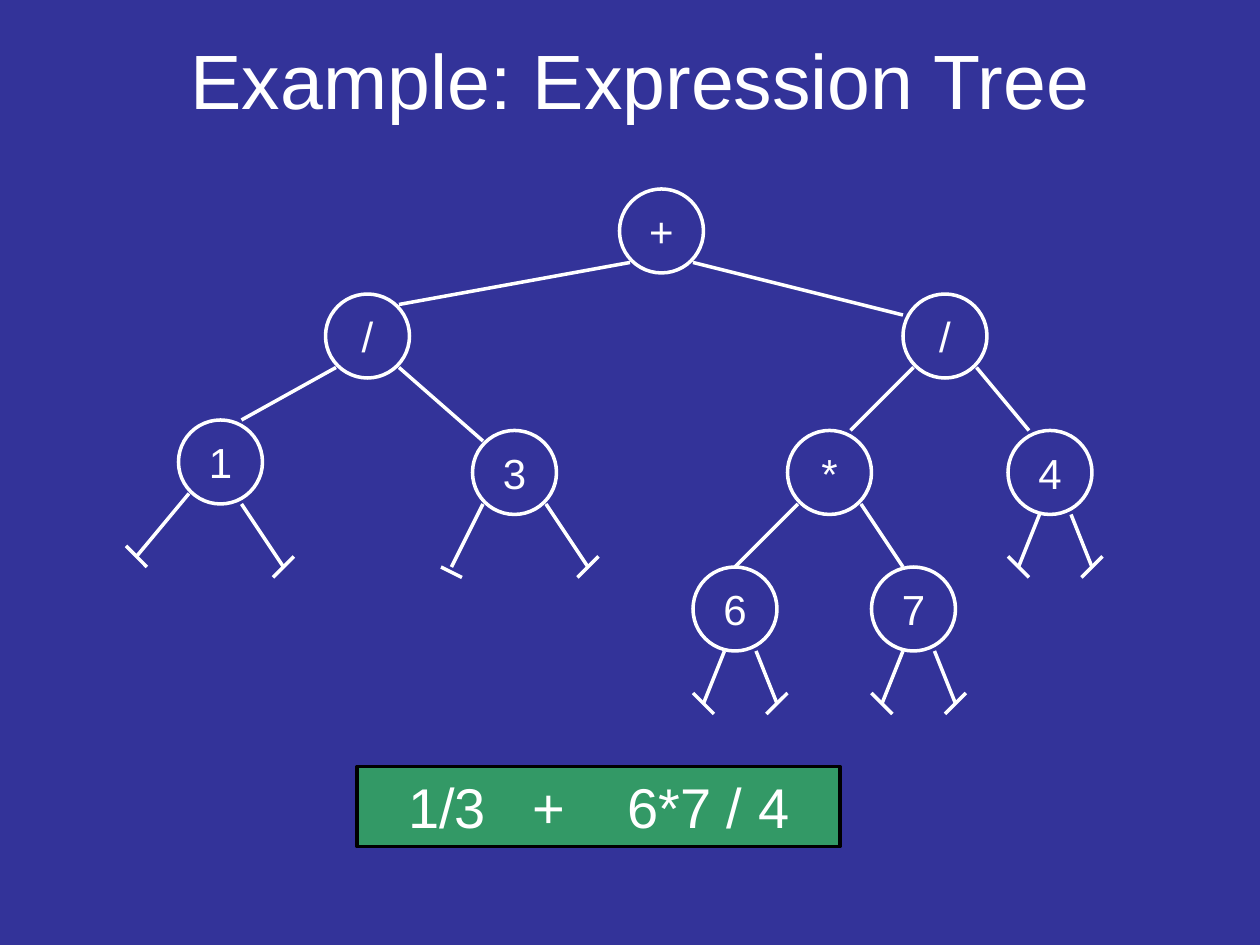
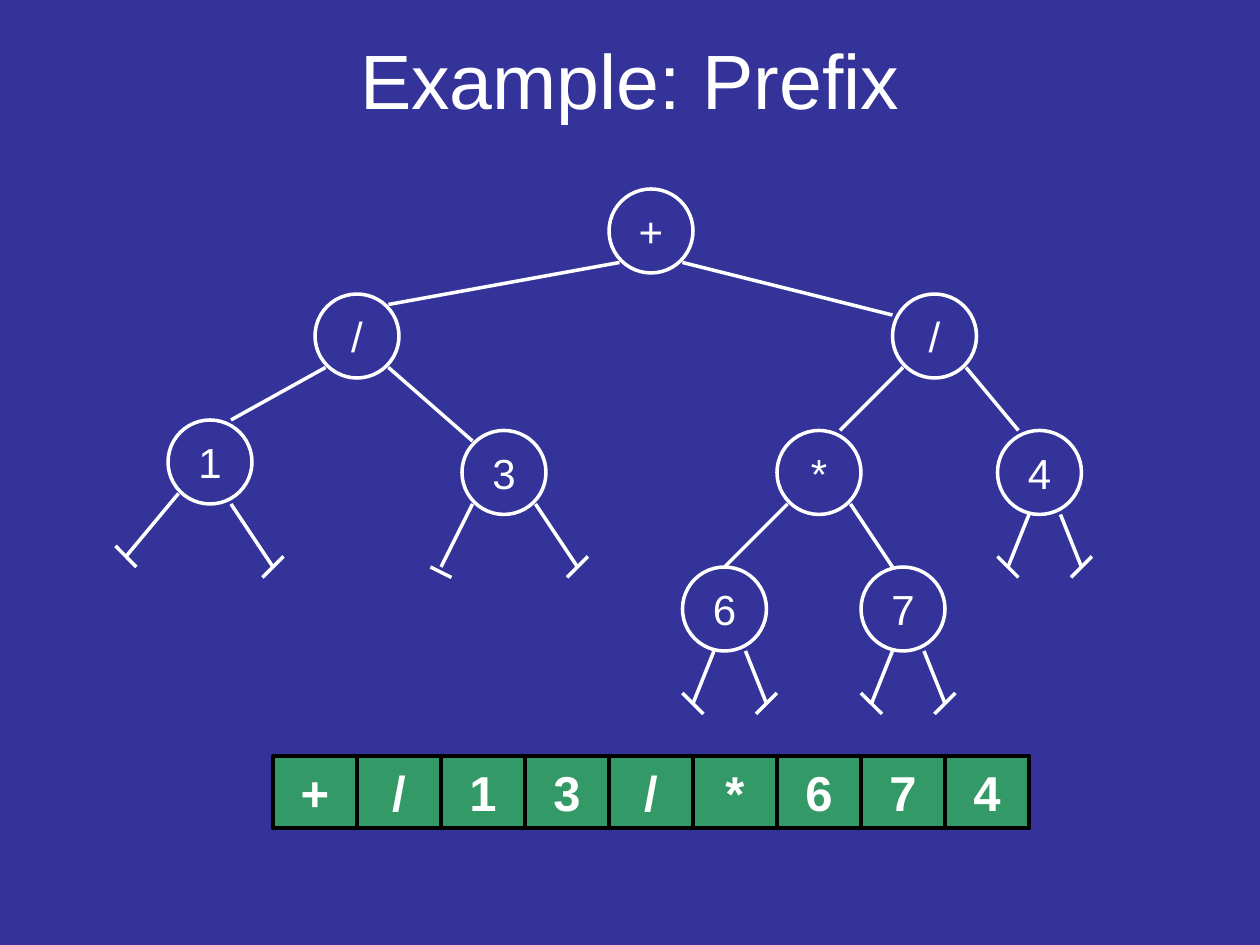
import pptx
import pptx.util
import pptx.dml.color
import pptx.enum.shapes
import pptx.enum.text
import pptx.oxml.ns
import lxml.etree

SCALE = 9525
FONT = "Arial"
BLUE, GREEN, WHITE, BLACK = "333399", "339966", "FFFFFF", "000000"
STEP = 64

NODES = [
    ("+", 376, 0),
    ("/", 152, 80),
    ("/", 592, 80),
    ("1", 40, 176),
    ("3", 264, 184),
    ("*", 504, 184),
    ("4", 672, 184),
    ("6", 432, 288),
    ("7", 568, 288),
]
LEFT, RIGHT = (8, 56), (56, 56)
EDGES = [
    (0, LEFT, 1, (56, 8)),
    (0, RIGHT, 2, (0, 16)),
    (1, LEFT, 3, (48, 0)),
    (1, RIGHT, 4, (8, 8)),
    (2, LEFT, 5, (48, 0)),
    (2, RIGHT, 6, (16, 0)),
    (5, LEFT, 7, (32, 0)),
    (5, RIGHT, 8, (24, 0)),
]
SHORT = (((24, 64), (8, 104)), ((48, 64), (64, 104)))
STUBS = {
    3: ((LEFT, (-32, 104)), ((48, 64), (80, 112))),
    4: ((LEFT, (-16, 104)), (RIGHT, (88, 104))),
    6: SHORT,
    7: SHORT,
    8: SHORT,
}
FLAT = 4


def px(*sizes):
    return [pptx.util.Emu(size * SCALE) for size in sizes]


def color(code):
    return pptx.dml.color.RGBColor.from_string(code)


def write(shape, text, size=24, bold=False, tint=WHITE, inset=0, align="CENTER", tabs=()):
    frame = shape.text_frame
    frame.word_wrap = True
    frame.vertical_anchor = pptx.enum.text.MSO_ANCHOR.MIDDLE
    frame.margin_left, frame.margin_right = px(inset, 0)
    frame.margin_top = frame.margin_bottom = 0
    para = frame.paragraphs[0]
    para.alignment = getattr(pptx.enum.text.PP_ALIGN, align)
    if tabs:
        qn = pptx.oxml.ns.qn
        stops = lxml.etree.SubElement(para._p.get_or_add_pPr(), qn("a:tabLst"))
        for stop in px(*tabs):
            lxml.etree.SubElement(stops, qn("a:tab"), pos=str(stop), algn="l")
    run = para.add_run()
    run.text = text
    font = run.font
    font.name, font.size, font.bold = FONT, pptx.util.Pt(size), bold
    font.color.rgb = color(tint)


def draw(slide, kind, box, edge, fill=None):
    kinds = pptx.enum.shapes.MSO_SHAPE
    shape = slide.shapes.add_shape(getattr(kinds, kind), *px(*box))
    shape.shadow.inherit = False
    if fill:
        shape.fill.solid()
        shape.fill.fore_color.rgb = color(fill)
    else:
        shape.fill.background()
    shape.line.color.rgb = color(edge)
    shape.line.width = pptx.util.Pt(2)
    return shape


def link(slide, start, end):
    kind = pptx.enum.shapes.MSO_CONNECTOR.STRAIGHT
    line = slide.shapes.add_connector(kind, *px(*start, *end))
    line.line.color.rgb = color(WHITE)
    line.line.width = pptx.util.Pt(2)
    props = line._element.spPr
    lxml.etree.SubElement(props, pptx.oxml.ns.qn("a:effectLst"))


def tree(slide, left, top):
    def point(node, shift):
        return left + NODES[node][1] + shift[0], top + NODES[node][2] + shift[1]

    for name, x, y in NODES:
        write(draw(slide, "OVAL", (left + x, top + y, 64, 64), WHITE), name)
    for node, start, child, end in EDGES:
        link(slide, point(node, start), point(child, end))
    for node, pair in STUBS.items():
        for side, (start, end) in zip((1, -1), pair):
            x, y = point(node, end)
            link(slide, point(node, start), (x, y))
            if node == FLAT and side == 1:
                link(slide, (x - 8, y), (x + 8, y + 8))
            else:
                link(slide, (x - 8, y - 8 * side), (x + 8, y + 8 * side))


def base(deck, title, left):
    slide = deck.slides.add_slide(deck.slide_layouts[6])
    slide.background.fill.solid()
    slide.background.fill.fore_color.rgb = color(BLUE)
    box = slide.shapes.add_textbox(*px(left, 0, 816, 120))
    write(box, title, size=44)
    tree(slide, left + 16, 144)
    return slide


def sum_bar(slide, left, top):
    bar = draw(slide, "RECTANGLE", (left, top, 368, 61), BLACK, GREEN)
    write(bar, "1/3\t+\t6*7 / 4", size=32, inset=39, align="LEFT", tabs=(95, 167))


def cells(slide, left, top, marks):
    for i, mark in enumerate(marks):
        cell = draw(slide, "RECTANGLE", (left + i * STEP, top, STEP, 55), BLACK, GREEN)
        write(cell, mark, size=28, bold=True)


def main():
    deck = pptx.Presentation()
    deck.slide_width, deck.slide_height = px(960, 720)
    sum_bar(base(deck, "Example: Expression Tree", 80), 272, 584)
    cells(base(deck, "Example: Prefix", 72), 208, 576, "+/13/*674")
    deck.save("out.pptx")


if __name__ == "__main__":
    main()
